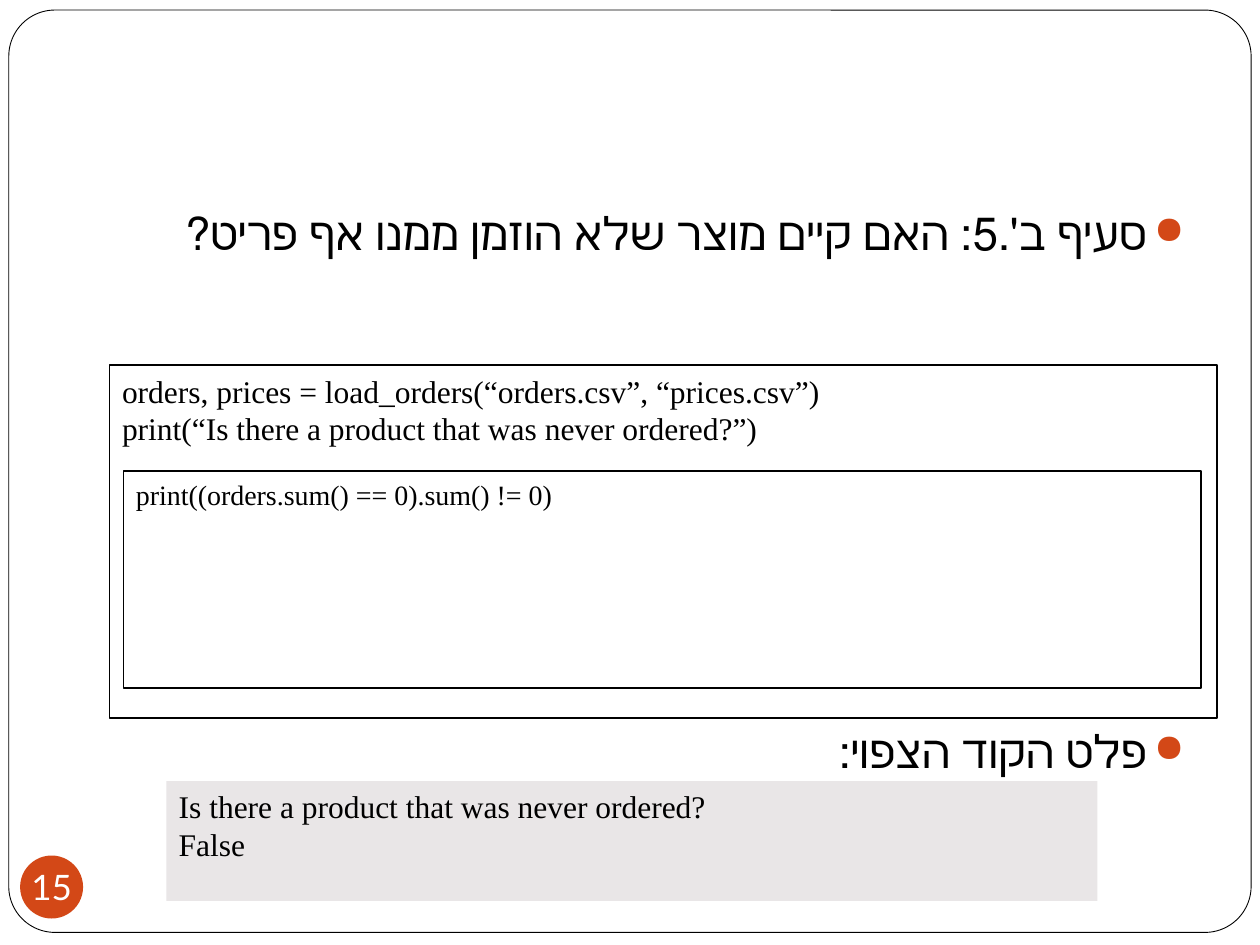
from lxml.etree import SubElement
from pptx import Presentation
from pptx.dml.color import RGBColor
from pptx.enum.shapes import MSO_SHAPE as Shape
from pptx.enum.text import MSO_ANCHOR as Anchor, PP_ALIGN as Align
from pptx.oxml.ns import qn
from pptx.util import Inches, Pt

SERIF = "Times New Roman"
BLACK, WHITE, ORANGE, GRAY = "000000", "FFFFFF", "D34817", "E9E6E7"


def color(value):
    return RGBColor.from_string(value)


def add_panel(page, kind, left, top, width, height, fill=None, line_width=None):
    panel = page.shapes.add_shape(
        kind, Inches(left), Inches(top), Inches(width), Inches(height))
    panel.shadow.inherit = False
    if fill:
        panel.fill.solid()
        panel.fill.fore_color.rgb = color(fill)
    else:
        panel.fill.background()
    if line_width:
        panel.line.color.rgb = color(BLACK)
        panel.line.width = Pt(line_width)
    else:
        panel.line.fill.background()
    return panel


def add_span(para, text, size, font=SERIF, text_color=BLACK):
    span = para.add_run()
    span.text = text
    span.font.name = font
    span.font.size = Pt(size)
    span.font.color.rgb = color(text_color)


def write_lines(panel, lines, size):
    frame = panel.text_frame
    frame.word_wrap = True
    frame.vertical_anchor = Anchor.TOP
    for index, line in enumerate(lines):
        para = frame.add_paragraph() if index else frame.paragraphs[0]
        para.alignment = Align.LEFT
        add_span(para, line, size)


def add_hebrew_bullet(page, top, text):
    box = page.shapes.add_textbox(Inches(1), Inches(top), Inches(8.5), Inches(0.55))
    box.text_frame.word_wrap = True
    para = box.text_frame.paragraphs[0]
    para.alignment = Align.RIGHT
    # Right-to-left paragraph with a hanging coloured bullet
    props = para._p.get_or_add_pPr()
    props.set("rtl", "1")
    props.set("marL", str(Inches(0.3)))
    props.set("indent", str(-Inches(0.3)))
    bullet_color = SubElement(props, qn("a:buClr"))
    SubElement(bullet_color, qn("a:srgbClr"), val=ORANGE)
    SubElement(props, qn("a:buSzPct"), val="85000")
    SubElement(props, qn("a:buChar"), char="●")
    add_span(para, text, 26)


def add_page_number(page, number):
    badge = add_panel(page, Shape.OVAL, 0.16, 6.79, 0.5, 0.5, ORANGE)
    frame = badge.text_frame
    frame.word_wrap = False
    frame.vertical_anchor = Anchor.MIDDLE
    frame.margin_left = frame.margin_right = 0
    frame.margin_top = frame.margin_bottom = 0
    para = frame.paragraphs[0]
    para.alignment = Align.CENTER
    add_span(para, number, 20, "Lato", WHITE)


def main():
    deck = Presentation()
    deck.slide_width, deck.slide_height = Inches(10), Inches(7.5)
    page = deck.slides.add_slide(deck.slide_layouts[6])

    # Page frame and number
    border = add_panel(page, Shape.ROUNDED_RECTANGLE, 0.07, 0.08, 9.86, 7.32, WHITE, 0.5)
    border.adjustments[0] = 0.05
    add_page_number(page, "15")

    # Question and output heading
    add_hebrew_bullet(page, 1.58, "סעיף ב'.5: האם קיים מוצר שלא הוזמן ממנו אף פריט?")
    add_hebrew_bullet(page, 5.69, "פלט הקוד הצפוי:")

    # Code with the solution box inside it
    code = add_panel(page, Shape.RECTANGLE, 0.87, 2.9, 8.79, 2.8, WHITE, 1)
    write_lines(code, ["orders, prices = load_orders(“orders.csv”, “prices.csv”)",
                       "print(“Is there a product that was never ordered?”)"], 18)
    solution = add_panel(page, Shape.RECTANGLE, 0.98, 3.74, 8.55, 1.72, line_width=1)
    write_lines(solution, ["print((orders.sum() == 0).sum() != 0)"], 16)

    # Expected output
    output = add_panel(page, Shape.RECTANGLE, 1.32, 6.2, 7.39, 0.95, GRAY)
    write_lines(output, ["Is there a product that was never ordered?", "False"], 18)

    deck.save("out.pptx")


if __name__ == "__main__":
    main()
